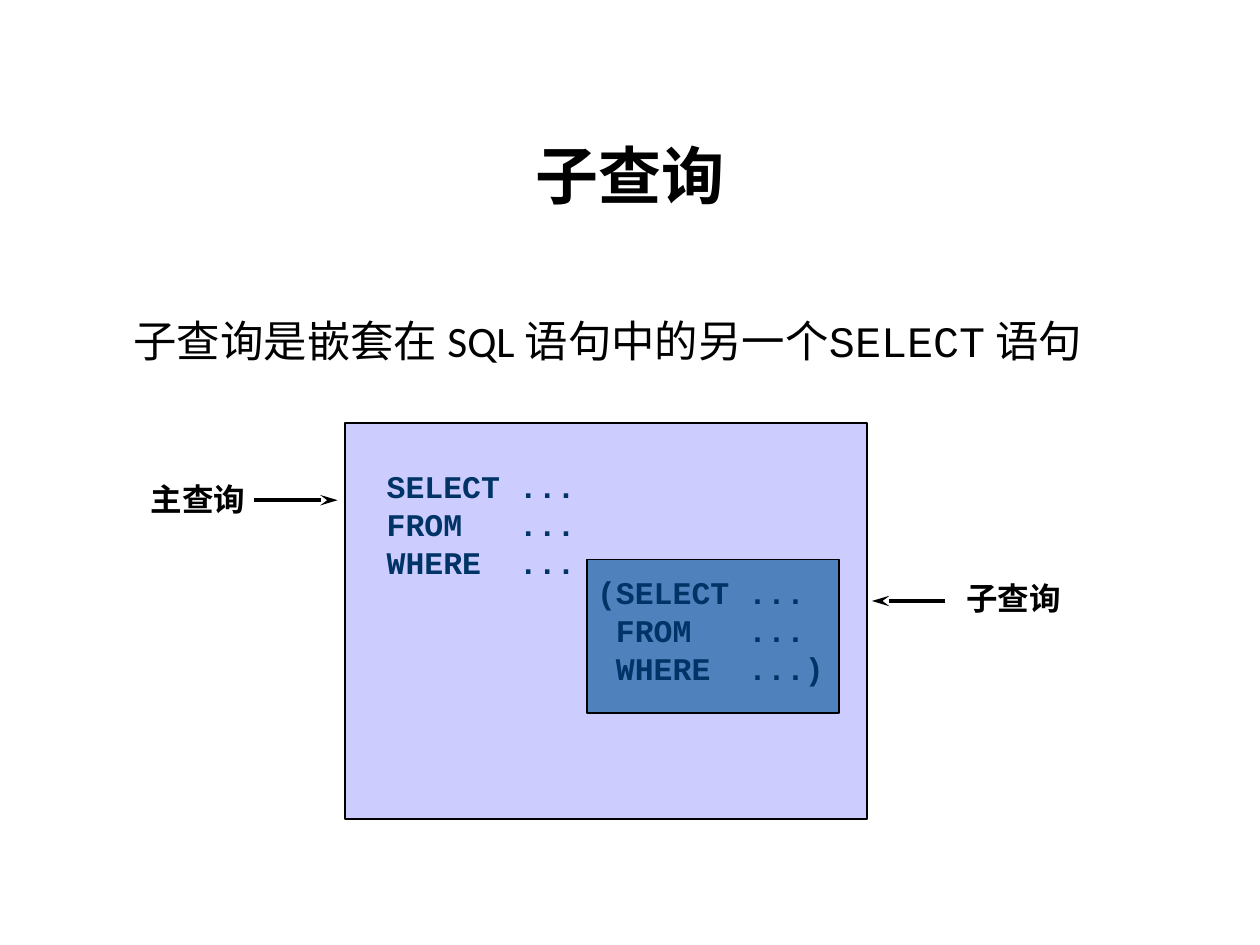
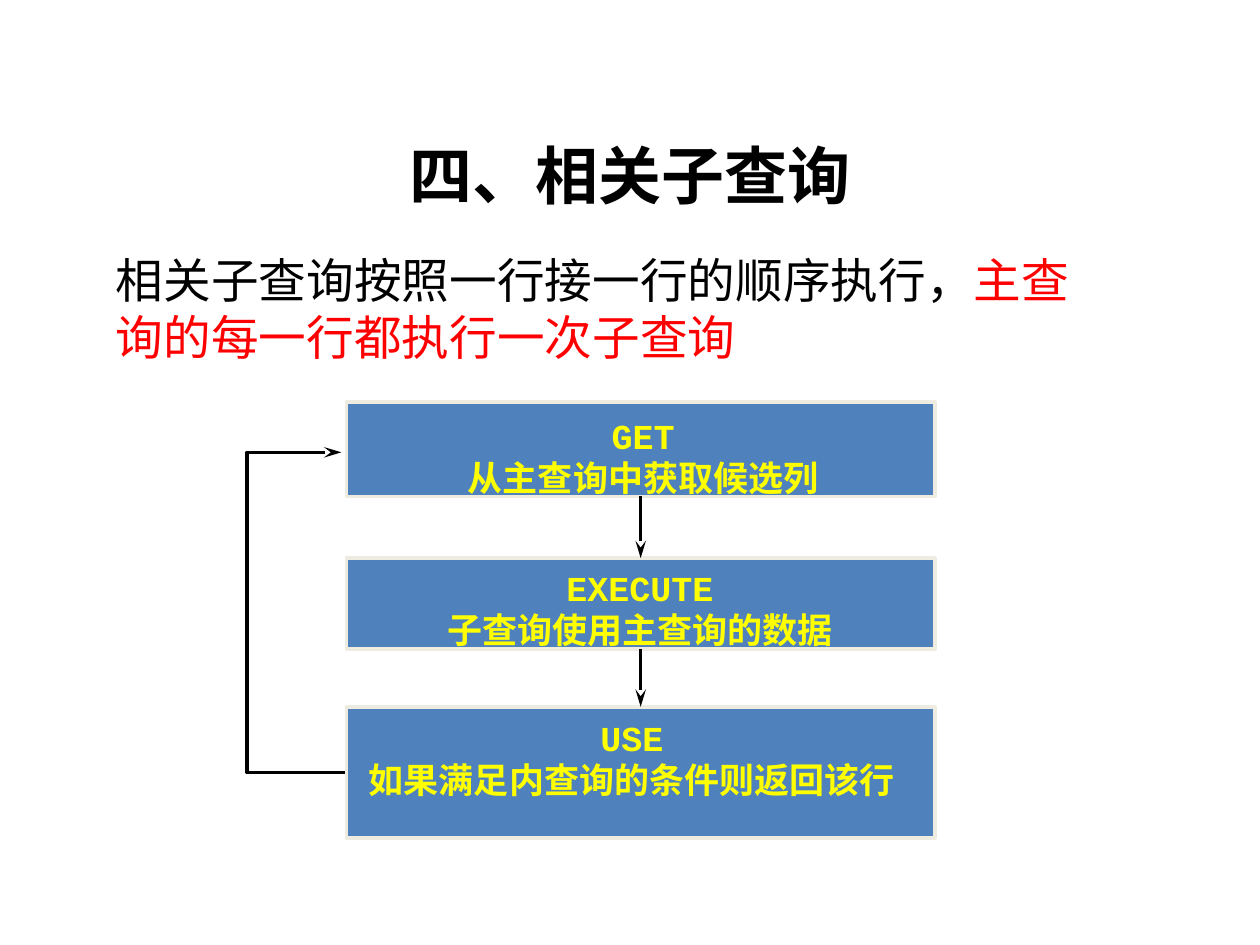
from dataclasses import dataclass

from lxml.etree import SubElement
from pptx import Presentation
from pptx.dml.color import RGBColor
from pptx.enum.shapes import MSO_CONNECTOR, MSO_SHAPE
from pptx.enum.text import MSO_ANCHOR, MSO_AUTO_SIZE, PP_ALIGN
from pptx.oxml.ns import qn
from pptx.shapes.autoshape import Shape
from pptx.shapes.connector import Connector
from pptx.slide import Slide
from pptx.text.text import Font
from pptx.util import Emu, Inches, Pt

# Shared style
COLORS = {
    "black": "000000",
    "code": "003366",
    "lavender": "CCCCFF",
    "blue": "4F81BD",
    "cream": "EEECE1",
    "yellow": "FFFF00",
    "red": "FF0000",
}
SANS, LABEL, MONO = "Calibri", "Arial", "Courier New"

# Grid of 100 columns by 75 rows
SLIDE_WIDTH, SLIDE_HEIGHT = Inches(10), Inches(7.5)
COLUMNS, ROWS = 100, 75


@dataclass(frozen=True)
class Area:
    column: float
    row: float
    columns: float
    rows: float

    def lengths(self) -> tuple[Emu, Emu, Emu, Emu]:
        return (across(self.column), down(self.row),
                across(self.columns), down(self.rows))


@dataclass(frozen=True)
class TextStyle:
    font: str
    size: float
    color: str = "black"
    bold: bool = True
    align: PP_ALIGN = PP_ALIGN.LEFT


@dataclass(frozen=True)
class Piece:
    text: str
    font: str | None = None
    color: str | None = None


@dataclass(frozen=True)
class Label:
    text: str
    area: Area
    font: str


@dataclass(frozen=True)
class Arrow:
    start: tuple[float, float]
    end: tuple[float, float]


@dataclass(frozen=True)
class Stage:
    keyword: str
    action: str
    box: Area
    text_area: Area


TITLE_AREA = Area(5, 7.6, 90, 12.5)
CODE_STYLE = TextStyle(MONO, 18, "code")
STAGE_STYLE = TextStyle(MONO, 20, "yellow", align=PP_ALIGN.CENTER)

# Main query and subquery
OUTER_BOX = Area(27.4, 33.6, 41.4, 31.4)
INNER_BOX = Area(46.6, 44.4, 20, 12.2)
OUTER_CODE = Area(29.7, 36.6, 18.5, 10)
INNER_CODE = Area(46.4, 45, 20, 10)
LABELS = [
    Label("主查询", Area(11, 37.6, 9.6, 4), LABEL),
    Label("子查询", Area(75.7, 45.5, 12.1, 5), SANS),
]
LABEL_ARROWS = [
    Arrow((20.2, 39.7), (26.8, 39.7)),
    Arrow((75, 47.7), (69.2, 47.7)),
]

# Stages of a correlated subquery
STAGE_LEFT, STAGE_WIDTH = 27.5, 46.7
STAGES = [
    Stage("GET", "从主查询中获取候选列",
          Area(STAGE_LEFT, 31.9, STAGE_WIDTH, 7.5), Area(27.8, 32.4, 46.5, 7.7)),
    Stage("EXECUTE", "子查询使用主查询的数据",
          Area(STAGE_LEFT, 44.3, STAGE_WIDTH, 7.2), Area(31.1, 44.5, 39.4, 7.7)),
    Stage("USE", "如果满足内查询的条件则返回该行",
          Area(STAGE_LEFT, 56.1, STAGE_WIDTH, 10.4), Area(26.8, 56.4, 46.7, 7.7)),
]
RETURN_PATH = [(27.8, 61.3), (19.6, 61.3), (19.6, 35.9), (27.1, 35.9)]


def across(columns: float) -> Emu:
    return Emu(round(SLIDE_WIDTH * columns / COLUMNS))


def down(rows: float) -> Emu:
    return Emu(round(SLIDE_HEIGHT * rows / ROWS))


def color(name: str) -> RGBColor:
    return RGBColor.from_string(COLORS[name])


def set_font(font: Font, style: TextStyle, piece: Piece) -> None:
    font.size = Pt(style.size)
    font.bold = style.bold
    font.name = piece.font or style.font
    font.color.rgb = color(piece.color or style.color)


def add_text(slide: Slide, area: Area, lines: list[list[Piece]], style: TextStyle,
             wrap: bool = True, grow: bool = False,
             anchor: MSO_ANCHOR = MSO_ANCHOR.TOP) -> None:
    frame = slide.shapes.add_textbox(*area.lengths()).text_frame
    frame.word_wrap = wrap
    frame.auto_size = MSO_AUTO_SIZE.SHAPE_TO_FIT_TEXT if grow else MSO_AUTO_SIZE.NONE
    frame.vertical_anchor = anchor
    for index, pieces in enumerate(lines):
        paragraph = frame.add_paragraph() if index else frame.paragraphs[0]
        paragraph.alignment = style.align
        if len(pieces) == 1:
            set_font(paragraph.font, style, pieces[0])
        for piece in pieces:
            run = paragraph.add_run()
            run.text = piece.text
            set_font(run.font, style, piece)


def add_title(slide: Slide, text: str, font: str) -> None:
    style = TextStyle(font, 36, align=PP_ALIGN.CENTER)
    add_text(slide, TITLE_AREA, [[Piece(text)]], style, anchor=MSO_ANCHOR.MIDDLE)


def add_box(slide: Slide, area: Area, fill: str, line: str, width: float) -> Shape:
    box = slide.shapes.add_shape(MSO_SHAPE.RECTANGLE, *area.lengths())
    box.shadow.inherit = False
    box.fill.solid()
    box.fill.fore_color.rgb = color(fill)
    box.line.color.rgb = color(line)
    box.line.width = Pt(width)
    return box


def add_arrowhead(shape: Shape | Connector) -> None:
    shape.line.color.rgb = color("black")
    shape.line.width = Pt(2)
    outline = shape._element.spPr.find(qn("a:ln"))
    SubElement(outline, qn("a:tailEnd"), type="stealth", len="lg")


def add_arrow(slide: Slide, arrow: Arrow) -> Connector:
    connector = slide.shapes.add_connector(
        MSO_CONNECTOR.STRAIGHT,
        across(arrow.start[0]), down(arrow.start[1]),
        across(arrow.end[0]), down(arrow.end[1]))
    add_arrowhead(connector)
    SubElement(connector._element.spPr, qn("a:effectLst"))
    return connector


def add_return_path(slide: Slide) -> None:
    start, *corners = [(across(x), down(y)) for x, y in RETURN_PATH]
    builder = slide.shapes.build_freeform(*start)
    builder.add_line_segments(corners, close=False)
    path = builder.convert_to_shape()
    path.shadow.inherit = False
    path.fill.background()
    add_arrowhead(path)


def query_lines(opening: str = "", closing: str = "") -> list[list[Piece]]:
    """Align the dots after the longest keyword."""
    keywords = ["SELECT", "FROM", "WHERE"]
    lines = []
    for keyword in keywords:
        before = opening if keyword == keywords[0] else " " * len(opening)
        after = closing if keyword == keywords[-1] else ""
        lines.append([Piece(f"{before}{keyword:<6} ...{after}")])
    return lines


def build_subquery(slide: Slide) -> None:
    add_title(slide, "子查询", SANS)
    definition = [Piece("子查询是嵌套在 SQL 语句中的另一个"),
                  Piece("SELECT", font=MONO), Piece(" 语句")]
    add_text(slide, Area(9.6, 24.4, 80.8, 4.5), [definition],
             TextStyle(SANS, 24.8, bold=False))

    # Nested queries
    add_box(slide, OUTER_BOX, "lavender", "black", 1)
    add_text(slide, OUTER_CODE, query_lines(), CODE_STYLE, wrap=False, grow=True)
    add_box(slide, INNER_BOX, "blue", "black", 1)
    add_text(slide, INNER_CODE, query_lines("(", ")"), CODE_STYLE,
             wrap=False, grow=True)

    # Labels and their arrows
    for label in LABELS:
        add_text(slide, label.area, [[Piece(label.text)]],
                 TextStyle(label.font, 18), wrap=False, grow=True)
    for arrow in LABEL_ARROWS:
        add_arrow(slide, arrow)


def build_correlated_subquery(slide: Slide) -> None:
    add_return_path(slide)
    add_title(slide, "四、相关子查询", MONO)
    summary = [Piece("相关子查询按照一行接一行的顺序执行，"),
               Piece("主查询的每一行都执行一次子查询", color="red")]
    add_text(slide, Area(8.2, 19.4, 80.8, 10.1), [summary],
             TextStyle(MONO, 27.2, bold=False))

    # Stage boxes and their text
    boxes = [add_box(slide, stage.box, "blue", "cream", 2) for stage in STAGES]
    for stage in STAGES:
        add_text(slide, stage.text_area,
                 [[Piece(stage.keyword)], [Piece(stage.action)]],
                 STAGE_STYLE, grow=True)

    # Arrows from each stage to the next
    for upper, lower in zip(boxes, boxes[1:]):
        connector = add_arrow(slide, Arrow((0, 0), (0, 0)))
        connector.begin_connect(upper, 2)
        connector.end_connect(lower, 0)


def main() -> None:
    presentation = Presentation()
    presentation.slide_width = SLIDE_WIDTH
    presentation.slide_height = SLIDE_HEIGHT
    blank = presentation.slide_layouts[6]
    for build in (build_subquery, build_correlated_subquery):
        build(presentation.slides.add_slide(blank))
    presentation.save("out.pptx")


if __name__ == "__main__":
    main()
